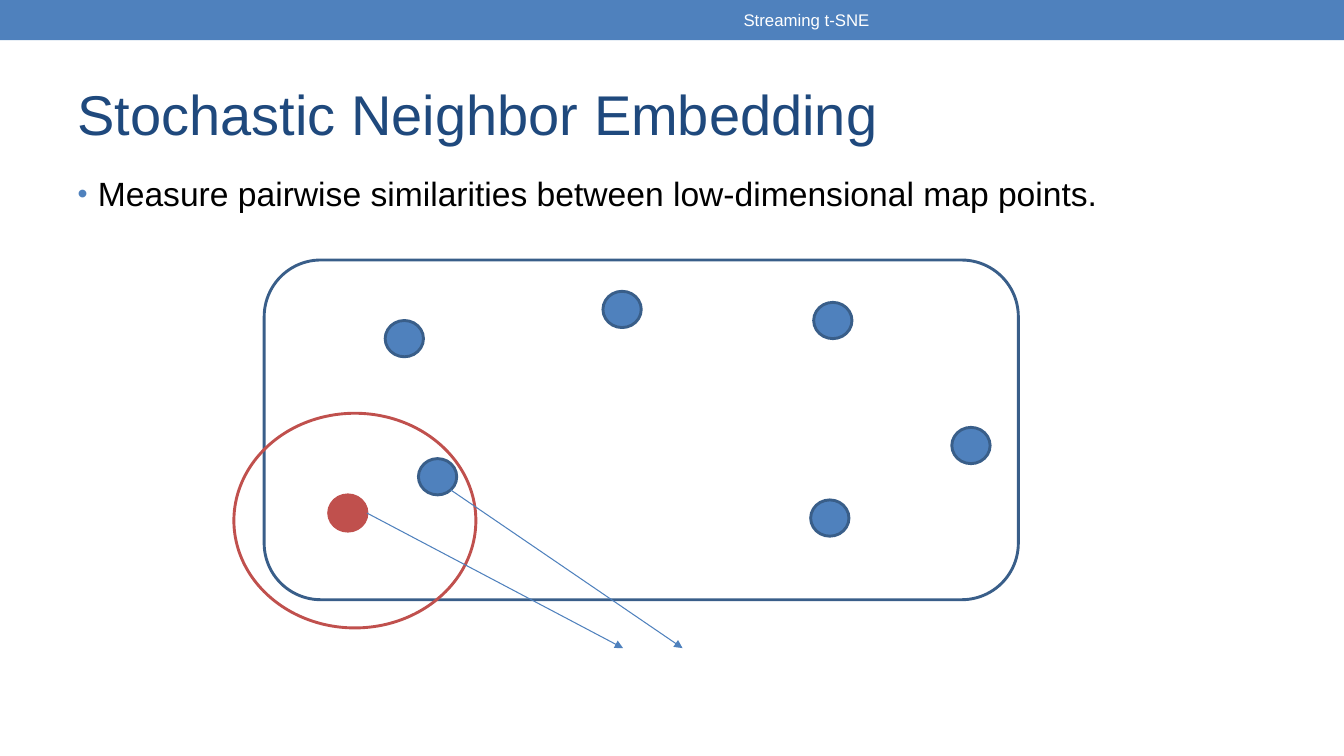
from lxml import etree
from pptx import Presentation
from pptx.dml.color import RGBColor
from pptx.enum import shapes, text
from pptx.oxml import ns
from pptx.util import Inches, Pt

HEADER = "Streaming t-SNE"
TITLE = "Stochastic Neighbor Embedding"
BULLET = "Measure pairwise similarities between low-dimensional map points."

COLORS = {"blue": "4F81BD", "outline": "395E89", "red": "C0504D",
          "navy": "1F497D", "black": "000000", "white": "FFFFFF"}

POINT_SIZE = (0.38, 0.36)
MAP_POINTS = [
    (3.82, 3.18, "blue", "outline"),
    (3.26, 4.91, "red", "red"),
    (4.15, 4.55, "blue", "outline"),
    (5.98, 2.89, "blue", "outline"),
    (8.07, 3.0, "blue", "outline"),
    (8.04, 4.96, "blue", "outline"),
    (9.44, 4.24, "blue", "outline"),
]
MAP_FRAME = (2.62, 2.58, 7.48, 3.37)
NEIGHBORHOOD = (2.32, 4.1, 2.4, 2.13)
ARROWS = [((3.64, 5.09), (6.18, 6.43)), ((4.47, 4.86), (6.77, 6.43))]


def color(name):
    return RGBColor.from_string(COLORS[name])


def inches(values):
    return [Inches(value) for value in values]


def add_child(parent, tag, **attributes):
    return etree.SubElement(parent, ns.qn(tag), attributes)


def place(shape, box):
    for name, value in zip(("left", "top", "width", "height"), inches(box)):
        setattr(shape, name, value)


def write(shape, content, size, font_color, alignment, anchor, inset=0.05):
    frame = shape.text_frame
    frame_format = {"word_wrap": True, "auto_size": text.MSO_AUTO_SIZE.NONE,
                    "vertical_anchor": anchor,
                    "margin_left": Inches(0.1), "margin_right": Inches(0.1),
                    "margin_top": Inches(inset), "margin_bottom": Inches(inset)}
    for name, value in frame_format.items():
        setattr(frame, name, value)
    paragraph = frame.paragraphs[0]
    paragraph.alignment = alignment
    paragraph.space_before = Pt(0)
    run = paragraph.add_run()
    run.text = content
    for name, value in {"name": "Arial", "size": Pt(size)}.items():
        setattr(run.font, name, value)
    run.font.color.rgb = color(font_color)
    return paragraph


def add_bullet(paragraph):
    properties = paragraph._p.get_or_add_pPr()
    properties.set("marL", str(Inches(0.2)))
    properties.set("indent", str(Inches(-0.2)))
    add_child(add_child(properties, "a:buClr"), "a:srgbClr", val=COLORS["blue"])
    add_child(properties, "a:buSzPct", val="85000")
    add_child(properties, "a:buFont", typeface="Arial")
    add_child(properties, "a:buChar", char="•")


def add_outline(slide, kind, box, fill=None, line=None):
    shape = slide.shapes.add_shape(kind, *inches(box))
    shape.shadow.inherit = False
    if fill:
        shape.fill.solid()
        shape.fill.fore_color.rgb = color(fill)
    else:
        shape.fill.background()
    if line:
        shape.line.color.rgb = color(line)
        shape.line.width = Pt(2.08)
    else:
        shape.line.fill.background()
    return shape


def add_arrow(slide, start, end):
    arrow = slide.shapes.add_connector(
        shapes.MSO_CONNECTOR.STRAIGHT, *inches(start + end))
    arrow.line.color.rgb = color("blue")
    arrow.line.width = Pt(0.75)
    add_child(arrow.line._get_or_add_ln(), "a:tailEnd", type="triangle")
    add_child(arrow._element.spPr, "a:effectLst")


def main():
    presentation = Presentation()
    presentation.slide_width = Inches(13.33)
    presentation.slide_height = Inches(7.5)
    slide = presentation.slides.add_slide(presentation.slide_layouts[1])
    left, center = text.PP_ALIGN.LEFT, text.PP_ALIGN.CENTER
    top, middle = text.MSO_ANCHOR.TOP, text.MSO_ANCHOR.MIDDLE
    ellipse = shapes.MSO_SHAPE.OVAL

    add_outline(slide, shapes.MSO_SHAPE.RECTANGLE, (0, 0, 13.33, 0.4), fill="blue")

    title, body = slide.placeholders
    place(title, (0.67, 0.58, 12, 1.08))
    write(title, TITLE, 40, "navy", left, middle)
    place(body, (0.67, 1.67, 12, 0.66))
    add_bullet(write(body, BULLET, 24, "black", left, top))

    add_outline(slide, shapes.MSO_SHAPE.ROUNDED_RECTANGLE, MAP_FRAME, line="outline")
    for x, y, fill, line in MAP_POINTS:
        add_outline(slide, ellipse, (x, y) + POINT_SIZE, fill, line)
    add_outline(slide, ellipse, NEIGHBORHOOD, line="red")
    for start, end in ARROWS:
        add_arrow(slide, start, end)

    header = slide.shapes.add_textbox(*inches((5, 0.02, 6, 0.36)))
    write(header, HEADER, 12, "white", center, middle, inset=0.1)
    presentation.save("out.pptx")


if __name__ == "__main__":
    main()
